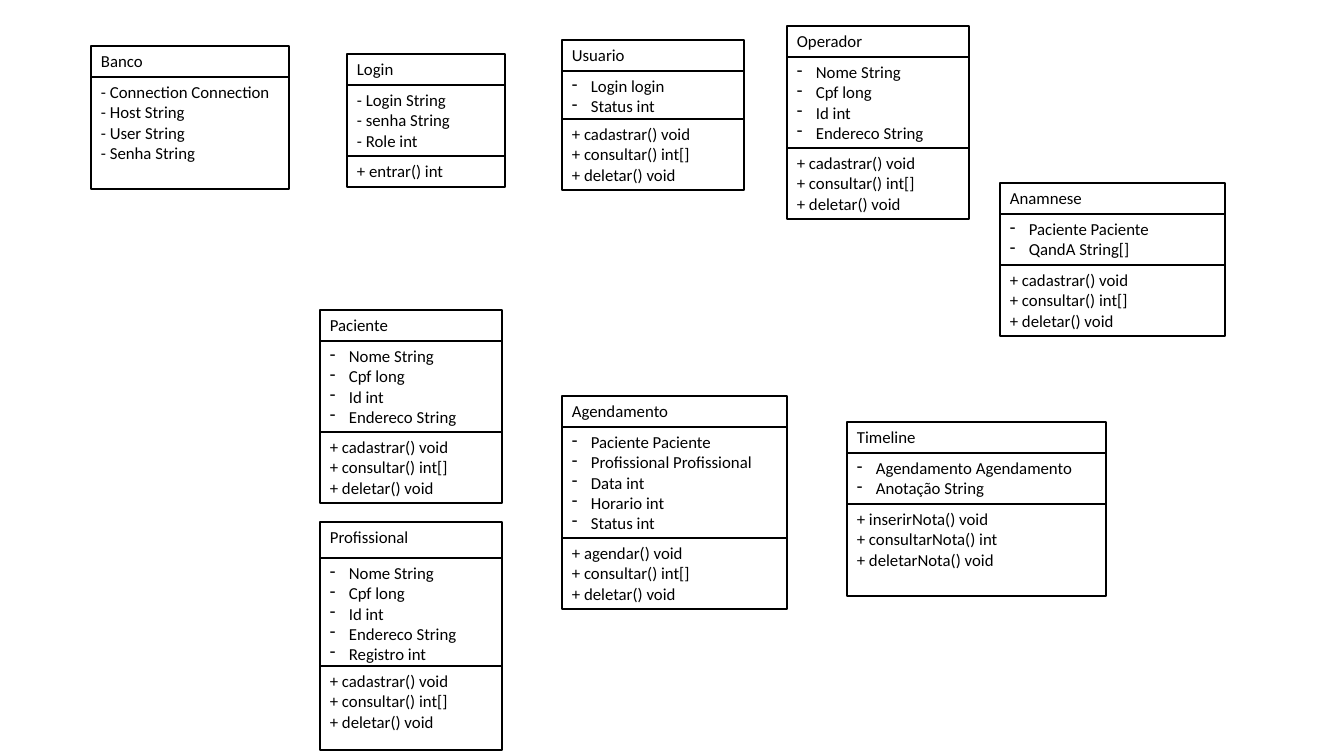
from lxml import etree
from pptx import Presentation, util as u
from pptx.dml.color import RGBColor
from pptx.enum import shapes, text
from pptx.oxml.ns import qn

EMU_PER_PIXEL = 914400 / 100.8
BULLET_INDENT = 19


def px(pixels):
    """Convert pixels to EMU."""
    return u.Emu(round(pixels * EMU_PER_PIXEL))


def write(frame, lines, size=12, font="Calibri", color="000000", bulleted=False):
    """Write one paragraph per line, with dash bullets on request."""
    frame.word_wrap = True
    frame.auto_size = text.MSO_AUTO_SIZE.NONE
    frame.vertical_anchor = text.MSO_ANCHOR.TOP
    for number, line in enumerate(lines):
        paragraph = frame.add_paragraph() if number else frame.paragraphs[0]
        paragraph.alignment = text.PP_ALIGN.LEFT
        run = paragraph.add_run()
        run.text = line
        run.font.size = u.Pt(size)
        run.font.name = font
        run.font.color.rgb = RGBColor.from_string(color)
        if bulleted:
            properties = paragraph._p.get_or_add_pPr()
            properties.set("marL", str(px(BULLET_INDENT)))
            properties.set("indent", str(-px(BULLET_INDENT)))
            etree.SubElement(properties, qn("a:buFontTx"))
            etree.SubElement(properties, qn("a:buChar"), char="-")


person = ["Nome String", "Cpf long", "Id int", "Endereco String"]
crud = ["+ cadastrar() void", "+ consultar() int[]", "+ deletar() void"]

# name, left, top, width, attributes, methods, bulleted attributes,
# section heights that differ from the fitted ones (by section number)
classes = [
    ("Banco", 91, 46, 198,
     ["- Connection Connection", "- Host String", "- User String", "- Senha String"],
     [], False, {1: 112}),
    ("Login", 347, 54, 158, ["- Login String", "- senha String", "- Role int"],
     ["+ entrar() int"], False, {}),
    ("Usuario", 562, 40, 182, ["Login login", "Status int"], crud, True, {1: 48}),
    ("Operador", 787, 26, 182, person, crud, True, {}),
    ("Anamnese", 1000, 183, 225, ["Paciente Paciente", "QandA String[]"],
     crud, True, {}),
    ("Paciente", 320, 310, 182, person, crud, True, {}),
    ("Profissional", 320, 522, 182, person + ["Registro int"], crud, True,
     {0: 36, 1: 108, 2: 84}),
    ("Agendamento", 562, 396, 225,
     ["Paciente Paciente", "Profissional Profissional", "Data int", "Horario int",
      "Status int"],
     ["+ agendar() void"] + crud[1:], True, {}),
    ("Timeline", 847, 422, 259, ["Agendamento Agendamento", "Anotação String"],
     ["+ inserirNota() void", "+ consultarNota() int", "+ deletarNota() void"],
     True, {2: 92}),
]

deck = Presentation()
deck.slide_width, deck.slide_height = px(1344), px(756)
slide = deck.slides.add_slide(deck.slide_layouts[6])

for name, left, top, width, attributes, methods, bulleted, heights in classes:
    diagram = slide.shapes.add_group_shape()
    for section, lines in enumerate([[name], attributes, methods]):
        if not lines:
            continue
        height = heights.get(section, round(10.4 + 20.2 * len(lines)))
        box = diagram.shapes.add_shape(shapes.MSO_SHAPE.RECTANGLE,
                                       px(left), px(top), px(width), px(height))
        box.shadow.inherit = False
        box.fill.solid()
        box.fill.fore_color.rgb = RGBColor.from_string("FFFFFF")
        box.line.color.rgb = RGBColor.from_string("000000")
        box.line.width = u.Pt(1)
        write(box.text_frame, lines, bulleted=bulleted and section == 1)
        top += height

deck.save("out.pptx")
